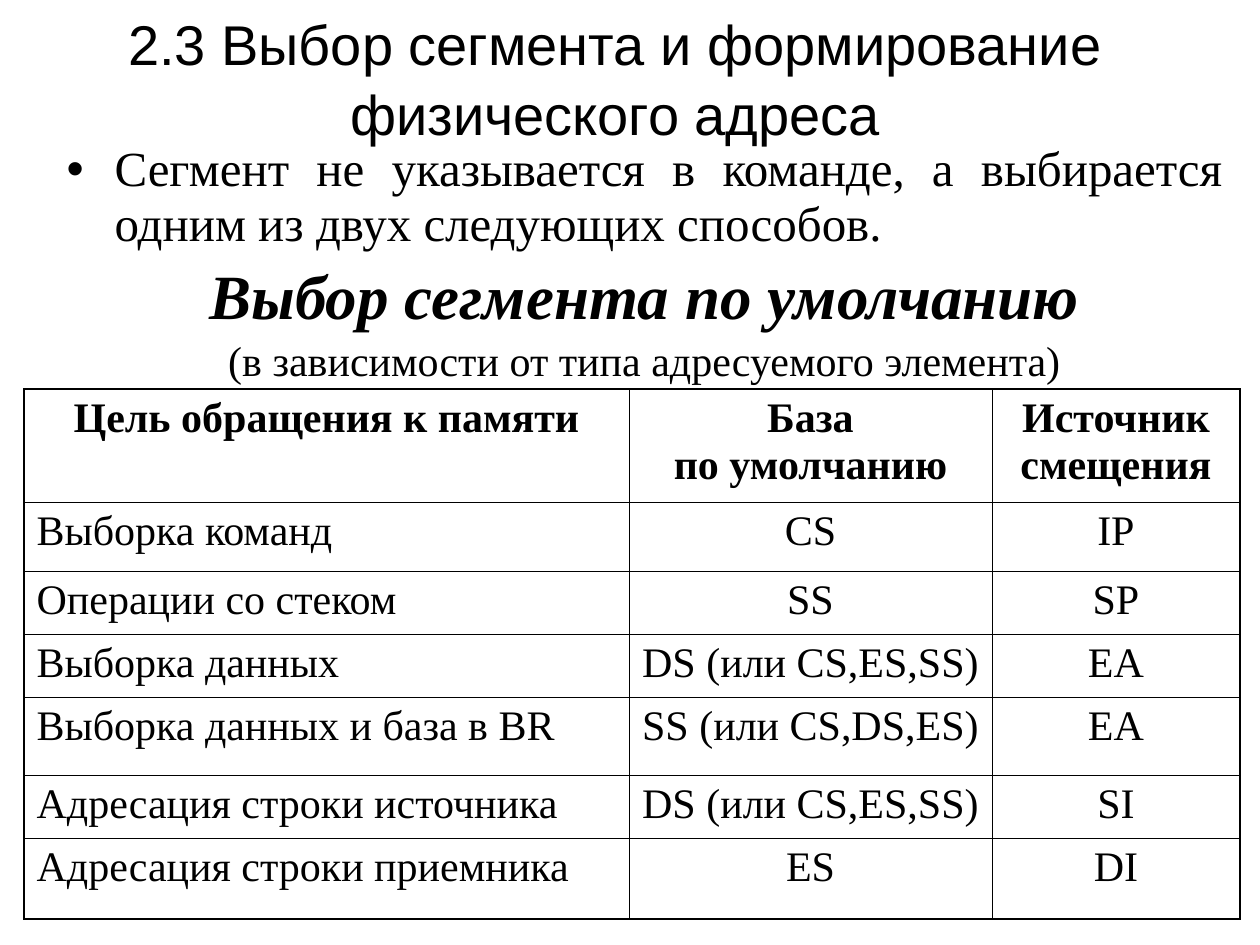
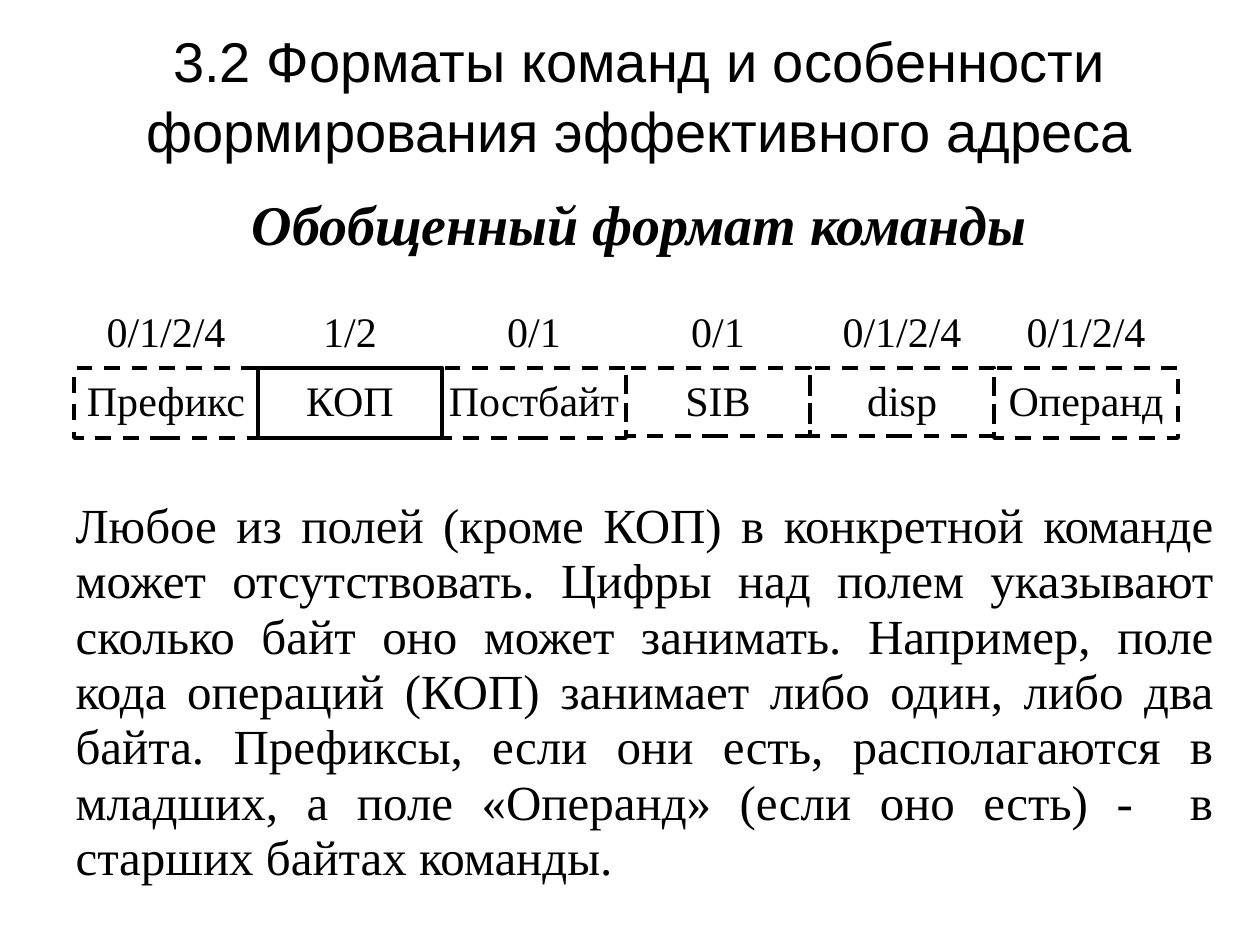
from dataclasses import dataclass

import lxml.etree
import pptx
import pptx.dml.color
import pptx.enum.dml
import pptx.enum.shapes
import pptx.enum.text
import pptx.oxml.ns
import pptx.util

PX_PER_INCH = 126
BLACK = "000000"
TITLE_FONT = "Arial"
TEXT_FONT = "Times New Roman"
ALIGN = pptx.enum.text.PP_ALIGN
ANCHOR = pptx.enum.text.MSO_ANCHOR


@dataclass(frozen=True)
class Area:
    left: int
    top: int
    width: int
    height: int


@dataclass(frozen=True)
class Para:
    text: str
    size: int = 24
    font: str = TEXT_FONT
    bold: bool = False
    italic: bool = False
    align: int = ALIGN.CENTER
    spacing: float = 1.0
    before: int = 0
    indent: int = 0
    hanging: int = 0
    bullet: str = ""


@dataclass(frozen=True)
class Field:
    name: str
    sizes: str
    height: int = 70
    dashed: bool = True


def px(length: int) -> int:
    return round(length * 914400 / PX_PER_INCH)


def color(value: str) -> pptx.dml.color.RGBColor:
    return pptx.dml.color.RGBColor.from_string(value)


def place(shape, area: Area) -> None:
    shape.left, shape.top = px(area.left), px(area.top)
    shape.width, shape.height = px(area.width), px(area.height)


# Text shared by placeholders, cells and boxes
def set_bullet(paragraph, para: Para) -> None:
    props = paragraph._p.get_or_add_pPr()
    props.set("marL", str(px(para.indent)))
    props.set("indent", str(px(-para.hanging)))
    if para.bullet:
        mark = lxml.etree.SubElement(props, pptx.oxml.ns.qn("a:buChar"))
        mark.set("char", para.bullet)
    else:
        lxml.etree.SubElement(props, pptx.oxml.ns.qn("a:buNone"))


def write(frame, paras: list[Para]) -> None:
    frame.text = "\n".join(para.text for para in paras)
    for paragraph, para in zip(frame.paragraphs, paras):
        set_bullet(paragraph, para)
        paragraph.alignment = para.align
        paragraph.line_spacing = para.spacing
        paragraph.space_before = pptx.util.Pt(para.before)
        for span in paragraph.runs:
            span.font.name = para.font
            span.font.size = pptx.util.Pt(para.size)
            span.font.bold = para.bold
            span.font.italic = para.italic
            span.font.color.rgb = color(BLACK)


def fill_placeholder(shape, area: Area, paras: list[Para], anchor: int) -> None:
    place(shape, area)
    frame = shape.text_frame
    frame.word_wrap = True
    frame.auto_size = pptx.enum.text.MSO_AUTO_SIZE.NONE
    frame.vertical_anchor = anchor
    write(frame, paras)


def add_page(deck, title_area: Area, titles: list[Para], body_area: Area, body: list[Para]):
    page = deck.slides.add_slide(deck.slide_layouts[1])
    fill_placeholder(page.shapes.title, title_area, titles, ANCHOR.MIDDLE)
    fill_placeholder(page.placeholders[1], body_area, body, ANCHOR.TOP)
    return page


def heading(text: str) -> Para:
    return Para(text, 32, TITLE_FONT, spacing=1.04)


# Table of default segments
SEGMENT_AREA = Area(24, 389, 1216, 530)
SEGMENT_WIDTHS = [605, 363, 248]
SEGMENT_HEIGHTS = [113, 69, 63, 63, 78, 63, 81]
SEGMENT_ROWS = [
    ("Цель обращения к памяти", "База\vпо умолчанию", "Источник смещения"),
    ("Выборка команд", "CS", "IP"),
    ("Операции со стеком", "SS", "SP"),
    ("Выборка данных", "DS (или CS,ES,SS)", "EA"),
    ("Выборка данных и база в BR", "SS (или CS,DS,ES)", "EA"),
    ("Адресация строки источника", "DS (или CS,ES,SS)", "SI"),
    ("Адресация строки приемника", "ES", "DI"),
]
OUTER_LINE, INNER_LINE = 1.08, 0.45


def set_borders(cell, outer_sides: dict[str, bool]) -> None:
    props = cell._tc.get_or_add_tcPr()
    for index, (side, outer) in enumerate(outer_sides.items()):
        line = lxml.etree.Element(pptx.oxml.ns.qn(f"a:ln{side}"))
        line.set("w", str(pptx.util.Pt(OUTER_LINE if outer else INNER_LINE)))
        fill = lxml.etree.SubElement(line, pptx.oxml.ns.qn("a:solidFill"))
        lxml.etree.SubElement(fill, pptx.oxml.ns.qn("a:srgbClr")).set("val", BLACK)
        props.insert(index, line)


def add_segment_table(page) -> None:
    area = SEGMENT_AREA
    last_row, last_column = len(SEGMENT_ROWS) - 1, len(SEGMENT_WIDTHS) - 1
    table = page.shapes.add_table(
        last_row + 1, last_column + 1,
        px(area.left), px(area.top), px(area.width), px(area.height)).table
    table.first_row = table.horz_banding = False
    for column, width in zip(table.columns, SEGMENT_WIDTHS):
        column.width = px(width)
    for r, (texts, height) in enumerate(zip(SEGMENT_ROWS, SEGMENT_HEIGHTS)):
        table.rows[r].height = px(height)
        for c, text in enumerate(texts):
            cell = table.cell(r, c)
            cell.fill.background()
            align = ALIGN.LEFT if r and c == 0 else ALIGN.CENTER
            write(cell.text_frame, [Para(text, bold=r == 0, align=align)])
            set_borders(cell, {"L": c == 0, "R": c == last_column,
                               "T": r == 0, "B": r == last_row})


# Command format diagram
FIELD_LEFT, FIELD_TOP, FIELD_WIDTH = 74, 368, 184
SIZES_TOP, SIZES_HEIGHT = 299, 68
FIELDS = [
    Field("Префикс", "0/1/2/4"),
    Field("КОП", "1/2", dashed=False),
    Field("Постбайт", "0/1"),
    Field("SIB", "0/1", height=68),
    Field("disp", "0/1/2/4", height=68),
    Field("Операнд", "0/1/2/4"),
]


def add_label(page, area: Area, text: str):
    box = page.shapes.add_shape(pptx.enum.shapes.MSO_SHAPE.RECTANGLE, 0, 0, 0, 0)
    place(box, area)
    box.shadow.inherit = False
    box.fill.background()
    box.line.fill.background()
    frame = box.text_frame
    frame.word_wrap = True
    frame.margin_left = frame.margin_right = 0
    frame.vertical_anchor = ANCHOR.TOP
    write(frame, [Para(text)])
    return box


def add_field(page, left: int, field: Field) -> None:
    add_label(page, Area(left, SIZES_TOP, FIELD_WIDTH, SIZES_HEIGHT), field.sizes)
    box = add_label(page, Area(left, FIELD_TOP, FIELD_WIDTH, field.height), field.name)
    box.line.color.rgb = color(BLACK)
    box.line.width = pptx.util.Pt(2.25)
    if field.dashed:
        box.line.dash_style = pptx.enum.dml.MSO_LINE.DASH


# Pages
def add_segment_page(deck) -> None:
    page = add_page(
        deck,
        Area(15, 29, 1201, 96),
        [heading("2.3 Выбор сегмента и формирование физического адреса")],
        Area(54, 136, 1181, 243),
        [
            Para("Сегмент не указывается в команде, а выбирается одним из двух "
                 "следующих способов.", 28, align=ALIGN.JUSTIFY, spacing=0.94,
                 indent=48, hanging=48, bullet="•"),
            Para("Выбор сегмента по умолчанию", 36, bold=True, italic=True,
                 spacing=0.84, before=9),
            Para("(в зависимости от типа адресуемого элемента)", spacing=0.84, before=6),
        ])
    add_segment_table(page)


def add_format_page(deck) -> None:
    page = add_page(
        deck,
        Area(39, 16, 1201, 248),
        [
            heading("3.2 Форматы команд и особенности формирования эффективного адреса"),
            Para("Обобщенный формат команды", 32, bold=True, italic=True,
                 spacing=1.04, before=13),
        ],
        Area(15, 493, 1211, 412),
        [Para("Любое из полей (кроме КОП) в конкретной команде может отсутствовать. "
              "Цифры над полем указывают сколько байт оно может занимать. Например, "
              "поле кода операций (КОП) занимает либо один, либо два байта. Префиксы, "
              "если они есть, располагаются в младших, а поле «Операнд» (если оно "
              "есть) -  в старших байтах команды.", 28, align=ALIGN.JUSTIFY,
              spacing=0.94, indent=48)])
    for index, field in enumerate(FIELDS):
        add_field(page, FIELD_LEFT + index * FIELD_WIDTH, field)


def main() -> None:
    deck = pptx.Presentation()
    deck.slide_width, deck.slide_height = px(1260), px(945)
    add_segment_page(deck)
    add_format_page(deck)
    deck.save("out.pptx")


if __name__ == "__main__":
    main()
